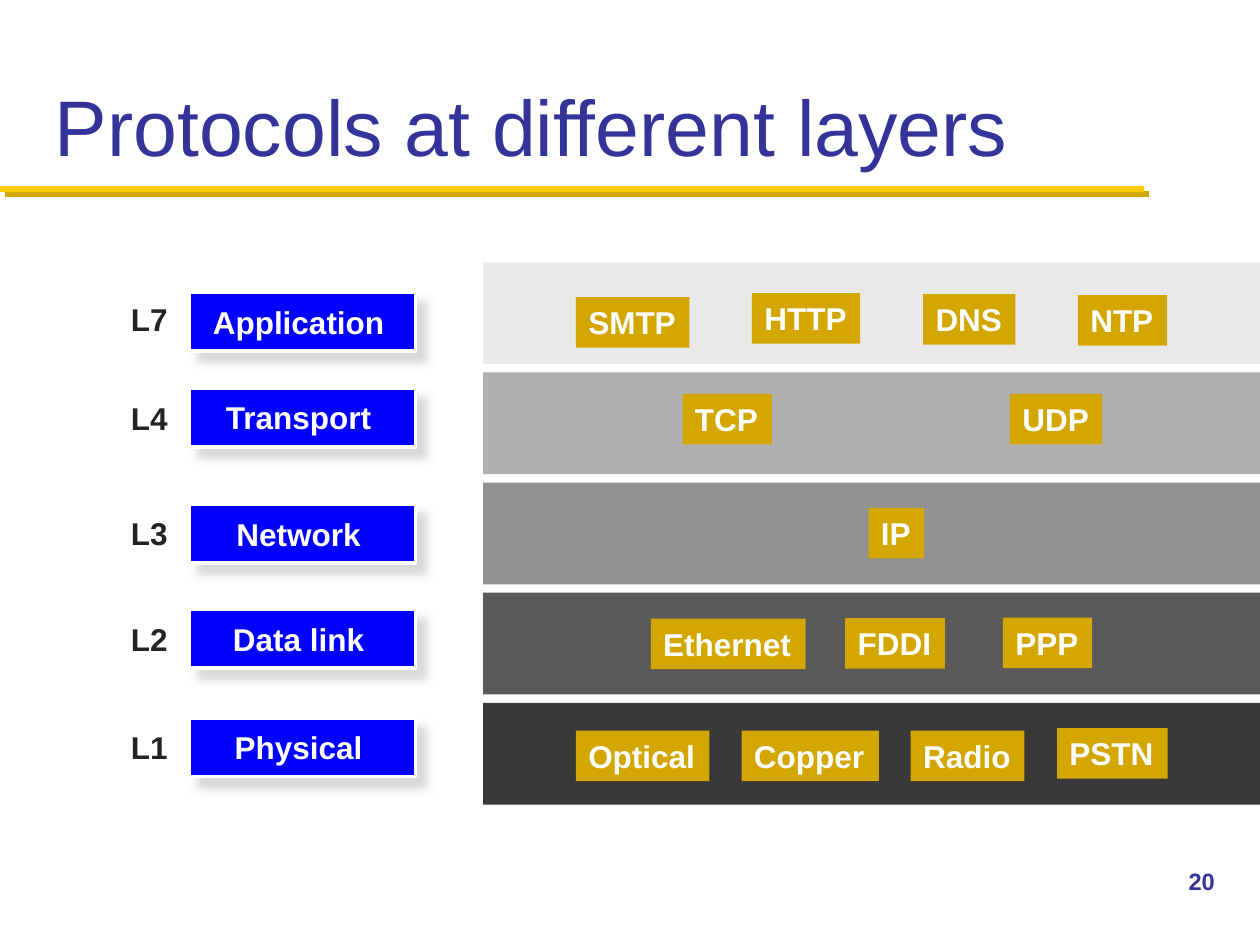
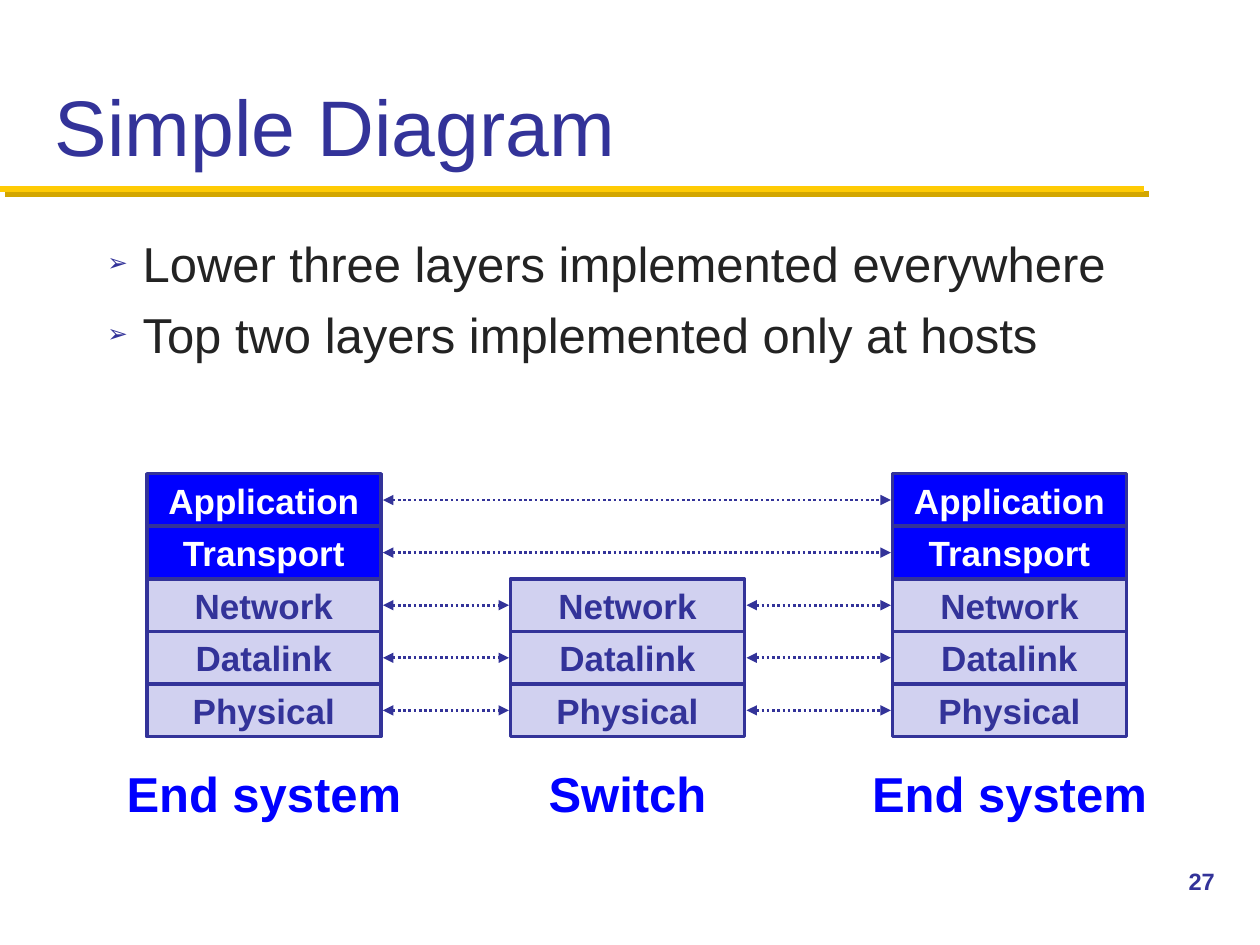
from lxml.etree import SubElement
from pptx import Presentation
from pptx.dml.color import RGBColor
from pptx.enum.dml import MSO_LINE
from pptx.enum.shapes import MSO_CONNECTOR, MSO_SHAPE
from pptx.enum.text import MSO_ANCHOR, MSO_AUTO_SIZE, PP_ALIGN
from pptx.oxml.ns import qn
from pptx.util import Cm, Pt

FONT = "Arial"
WHITE = RGBColor(0xFF, 0xFF, 0xFF)
INK = RGBColor(0x23, 0x23, 0x23)
INDIGO = RGBColor(0x33, 0x33, 0x99)
LAVENDER = RGBColor(0xD1, 0xD1, 0xF0)
BLUE = RGBColor(0x00, 0x00, 0xFF)
YELLOW = RGBColor(0xFF, 0xCB, 0x05)
GOLD = RGBColor(0xD3, 0xA6, 0x00)
SHADOW_GRAY = RGBColor(0xCE, 0xCE, 0xCE)

TITLE_ONLY, TITLE_AND_BODY = 5, 1

TITLE_FONT = {"size": Pt(45), "color": INDIGO}
BODY_FONT = {"size": Pt(28), "color": INK}
NUMBER_FONT = {"size": Pt(13.5), "bold": True, "color": INDIGO}
LEVEL_FONT = {"size": Pt(18), "bold": True, "color": INK}
TAG_FONT = {"size": Pt(18), "bold": True, "color": WHITE}
HOST_FONT = {"size": Pt(20), "bold": True, "color": WHITE}
SHARED_FONT = {"size": Pt(20), "bold": True, "color": INDIGO}
CAPTION_FONT = {"size": Pt(28), "bold": True, "color": BLUE}

BAND_TOP, BAND_PITCH = 5.29, 2.22
TAG_HEIGHT = 1.02

# level, layer, level top, layer top, band colour, tags (text, left, top, width)
LAYERS = [
    ("L7", "Application", 5.92, 5.89, RGBColor(0xE9, 0xE9, 0xE9),
     [("SMTP", 11.61, 5.99, 2.29), ("HTTP", 15.16, 5.91, 2.18),
      ("DNS", 18.61, 5.93, 1.86), ("NTP", 21.73, 5.95, 1.8)]),
    ("L4", "Transport", 7.92, 7.82, RGBColor(0xB0, 0xB0, 0xB0),
     [("TCP", 13.76, 7.94, 1.8), ("UDP", 20.36, 7.94, 1.86)]),
    ("L3", "Network", 10.24, 10.16, RGBColor(0x91, 0x91, 0x91),
     [("IP", 17.51, 10.24, 1.12)]),
    ("L2", "Data link", 12.37, 12.28, RGBColor(0x5A, 0x5A, 0x5A),
     [("Ethernet", 13.12, 12.47, 3.12), ("FDDI", 17.04, 12.46, 2.01),
      ("PPP", 20.22, 12.45, 1.8)]),
    ("L1", "Physical", 14.55, 14.47, RGBColor(0x39, 0x39, 0x39),
     [("Optical", 11.61, 14.73, 2.69), ("Copper", 14.95, 14.73, 2.77),
      ("Radio", 18.36, 14.73, 2.29), ("PSTN", 21.31, 14.68, 2.23)]),
]

HOST_LAYERS = ["Application", "Transport"]
STACK_LAYERS = HOST_LAYERS + ["Network", "Datalink", "Physical"]
CELL_TOP, CELL_WIDTH, CELL_HEIGHT = 9.55, 4.72, 1.06
CAPTION_WIDTH = 6.12
# caption, left edge, first layer in the stack
STACKS = [("End system", 2.96, 0), ("Switch", 10.29, len(HOST_LAYERS)),
          ("End system", 17.99, 0)]


class SlideBuilder:
    def __init__(self, deck):
        self.deck = deck
        self.page = None

    def start_page(self, layout, title, number):
        self.page = self.deck.slides.add_slide(self.deck.slide_layouts[layout])
        rule = self.line(0, 23.06, 3.81, YELLOW, 3.5)
        self.add_shadow(rule, GOLD, 100, 0, 4.2)
        heading = self.page.shapes.title
        self.place(heading, 0.85, 0.42, 23.71, 3.18)
        self.fill_text(heading, title, TITLE_FONT, anchor=MSO_ANCHOR.BOTTOM)
        self.text(number, 23.71, 17.35, 1.69, 1.27, NUMBER_FONT)

    @staticmethod
    def place(shape, *lengths):
        for name, value in zip(("left", "top", "width", "height"), lengths):
            setattr(shape, name, Cm(value))

    @staticmethod
    def style(font, values):
        for name, value in {"name": FONT, **values}.items():
            if name == "color":
                font.color.rgb = value
            else:
                setattr(font, name, value)

    def fill_text(self, shape, text, font, align=PP_ALIGN.LEFT,
                  anchor=MSO_ANCHOR.TOP, wrap=True, **margins):
        frame = shape.text_frame
        settings = {"auto_size": MSO_AUTO_SIZE.NONE, "word_wrap": wrap,
                    "vertical_anchor": anchor, **margins}
        for name, value in settings.items():
            setattr(frame, name, value)
        para = frame.paragraphs[0]
        para.alignment = align
        span = para.add_run()
        span.text = text
        self.style(span.font, font)

    def text(self, text, left, top, width, height, font, **options):
        box = self.page.shapes.add_textbox(
            Cm(left), Cm(top), Cm(width), Cm(height))
        self.fill_text(box, text, font, **options)

    def rectangle(self, left, top, width, height, fill, outline=None):
        box = self.page.shapes.add_shape(
            MSO_SHAPE.RECTANGLE, Cm(left), Cm(top), Cm(width), Cm(height))
        box.shadow.inherit = False
        box.fill.solid()
        box.fill.fore_color.rgb = fill
        if outline is None:
            box.line.fill.background()
        else:
            box.line.color.rgb = outline
            box.line.width = Pt(2)
        return box

    def label(self, text, left, top, width, fill, font):
        box = self.rectangle(left, top, width, TAG_HEIGHT, fill)
        self.fill_text(box, text, font, wrap=False)

    def line(self, start, end, height, color, width):
        connector = self.page.shapes.add_connector(
            MSO_CONNECTOR.STRAIGHT, Cm(start), Cm(height), Cm(end), Cm(height))
        connector.line.color.rgb = color
        connector.line.width = Pt(width)
        SubElement(connector.element.spPr, qn("a:effectLst"))
        return connector

    def arrow(self, start, end, height):
        """Draw a dotted line with an arrowhead at both ends."""
        connector = self.line(start, end, height, INDIGO, 1.5)
        connector.line.dash_style = MSO_LINE.ROUND_DOT
        outline = connector.element.spPr.find(qn("a:ln"))
        for name in ("a:headEnd", "a:tailEnd"):
            SubElement(outline, qn(name), type="triangle")

    @staticmethod
    def add_shadow(shape, color, opacity, blur, distance):
        effects = shape.element.spPr.find(qn("a:effectLst"))
        shadow = SubElement(effects, qn("a:outerShdw"), blurRad=str(Pt(blur)),
                            dist=str(Pt(distance)), dir="2700000",
                            algn="ctr", rotWithShape="0")
        tint = SubElement(shadow, qn("a:srgbClr"), val=str(color))
        SubElement(tint, qn("a:alpha"), val=str(opacity * 1000))

    def bullets(self, items):
        body = self.page.placeholders[1]
        self.place(body, 1.91, 4.45, 22.02, 12.27)
        frame = body.text_frame
        frame.auto_size = MSO_AUTO_SIZE.NONE
        frame.margin_top = Cm(0.26)
        for index, item in enumerate(items):
            para = frame.add_paragraph() if index else frame.paragraphs[0]
            properties = para._p.get_or_add_pPr()
            properties.set("marL", str(Cm(0.71)))
            properties.set("indent", str(Cm(-0.71)))
            tint = SubElement(properties, qn("a:buClr"))
            SubElement(tint, qn("a:srgbClr"), val=str(INDIGO))
            SubElement(properties, qn("a:buSzPct"), val="50000")
            SubElement(properties, qn("a:buFont"), typeface=FONT)
            SubElement(properties, qn("a:buChar"), char="➢")
            para.space_before = Pt(7 if index else 0)
            span = para.add_run()
            span.text = item
            self.style(span.font, BODY_FONT)


def build_protocols(builder):
    builder.start_page(TITLE_ONLY, "Protocols at different layers", "20")
    for row, (level, layer, level_top, layer_top, shade, tags) in enumerate(LAYERS):
        builder.rectangle(9.74, BAND_TOP + row * BAND_PITCH, 15.66, 2.05, shade)
        box = builder.rectangle(3.81, layer_top, 4.57, 1.19, BLUE, WHITE)
        builder.add_shadow(box, SHADOW_GRAY, 75, 5, 8)
        builder.fill_text(box, layer, TAG_FONT, PP_ALIGN.CENTER, MSO_ANCHOR.MIDDLE,
                          margin_left=Cm(0.1), margin_right=Cm(0.25))
        builder.label(level, 2.39, level_top, 1.27, WHITE, LEVEL_FONT)
        for tag, left, top, width in tags:
            builder.label(tag, left, top, width, GOLD, TAG_FONT)


def build_diagram(builder):
    builder.start_page(TITLE_AND_BODY, "Simple Diagram", "27")
    builder.bullets(["Lower three layers implemented everywhere",
                     "Top two layers implemented only at hosts"])
    for caption, left, first in STACKS:
        for row, layer in list(enumerate(STACK_LAYERS))[first:]:
            on_host = layer in HOST_LAYERS
            cell = builder.rectangle(
                left, CELL_TOP + row * CELL_HEIGHT, CELL_WIDTH, CELL_HEIGHT,
                BLUE if on_host else LAVENDER, INDIGO)
            builder.fill_text(cell, layer, HOST_FONT if on_host else SHARED_FONT,
                              PP_ALIGN.CENTER, MSO_ANCHOR.MIDDLE, wrap=False)
        builder.text(caption, left + (CELL_WIDTH - CAPTION_WIDTH) / 2, 15.27,
                     CAPTION_WIDTH, 1.45, CAPTION_FONT, align=PP_ALIGN.CENTER)

    for row in range(len(STACK_LAYERS)):
        linked = [left for _, left, first in STACKS if first <= row]
        for start, end in zip(linked, linked[1:]):
            builder.arrow(start + CELL_WIDTH + 0.04, end - 0.03,
                          CELL_TOP + (row + 0.5) * CELL_HEIGHT)


def main():
    deck = Presentation()
    deck.slide_width, deck.slide_height = Cm(25.4), Cm(19.05)
    builder = SlideBuilder(deck)
    build_protocols(builder)
    build_diagram(builder)
    deck.save("out.pptx")


if __name__ == "__main__":
    main()
